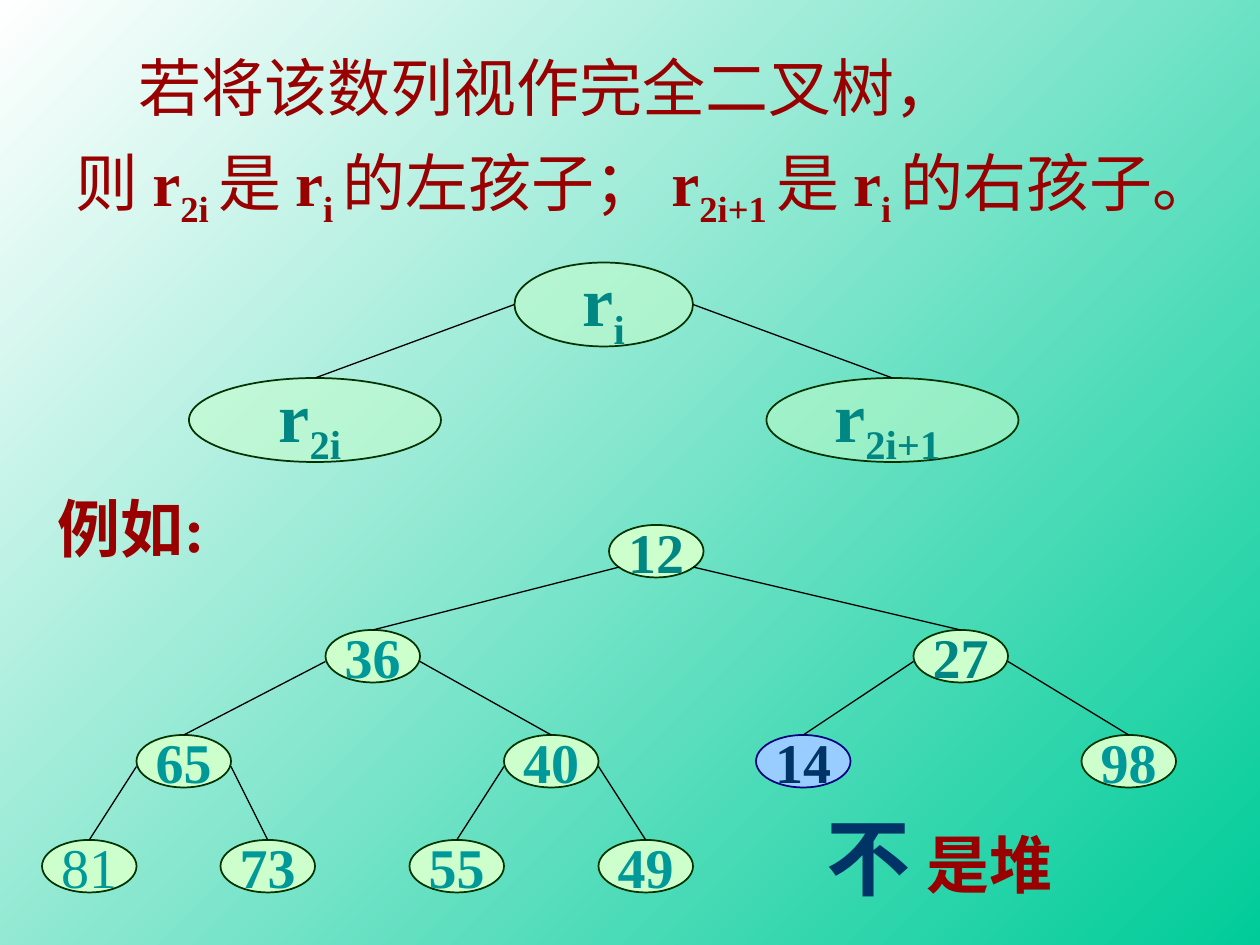
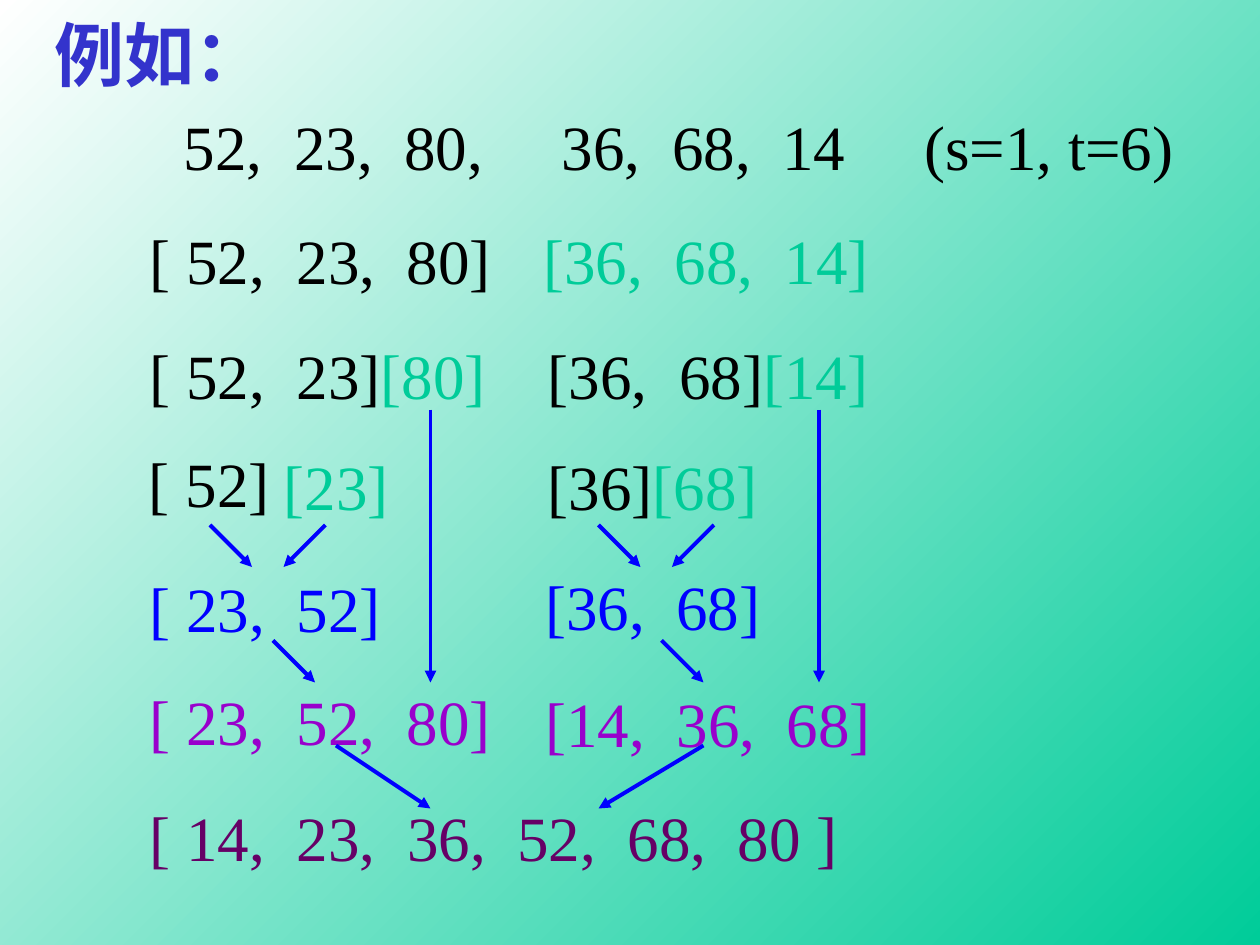
from dataclasses import dataclass
from typing import Optional

from lxml.etree import SubElement
from pptx import Presentation
from pptx.dml.color import RGBColor
from pptx.enum.shapes import MSO_CONNECTOR, MSO_SHAPE
from pptx.enum.text import MSO_ANCHOR, PP_ALIGN
from pptx.oxml.ns import qn
from pptx.util import Pt


@dataclass(frozen=True)
class Theme:
    """Colours, type sizes and line widths shared by the slides."""
    font: str = "Times New Roman"
    white: str = "FFFFFF"
    black: str = "000000"
    green: str = "00CC99"
    pale_green: str = "CCFFCC"
    dark_green: str = "003300"
    teal: str = "009999"
    deep_teal: str = "008784"
    red: str = "990000"
    pale_blue: str = "99CCFF"
    navy_line: str = "000080"
    navy: str = "003366"
    indigo: str = "3333CC"
    blue: str = "0000FF"
    violet: str = "9900CC"
    plum: str = "660066"
    small: int = 32
    body: int = 36
    large: int = 40
    huge: int = 48
    edge: float = 0.75
    arrow: float = 2.25
    number_pitch: int = 63


@dataclass(frozen=True)
class Span:
    """A piece of text with the style that sets it apart."""
    text: str
    color: Optional[str] = None
    bold: Optional[bool] = None
    subscript: bool = False


def rgb(color):
    """Turn a hex colour into an RGBColor."""
    return RGBColor.from_string(color)


def indexed(index):
    """Return the spans of the letter r with a subscript index."""
    return [Span("r", bold=True), Span(index, bold=True, subscript=True)]


class Deck:
    """Holds the theme, the presentation and the current slide."""

    def __init__(self, theme):
        """Create the presentation with its shared gradient background."""
        self.theme = theme
        self.presentation = Presentation()
        self.presentation.slide_width = Pt(720)
        self.presentation.slide_height = Pt(540)
        fill = self.presentation.slide_master.background.fill
        fill.gradient()
        fill.gradient_angle = 315
        for stop, color in zip(fill.gradient_stops, (theme.white, theme.green)):
            stop.color.rgb = rgb(color)
        self.slide = None

    def new_slide(self):
        """Start a new blank slide."""
        layout = self.presentation.slide_layouts[6]
        self.slide = self.presentation.slides.add_slide(layout)

    def stops(self, start, count=1):
        """Return tab stops one number pitch apart after a start."""
        return [start + self.theme.number_pitch * step for step in range(1, count + 1)]

    def set_paragraph(self, paragraph, spans, size, color, bold=False, stops=()):
        """Fill a paragraph with spans, tab stops and its font."""
        if stops:
            tab_list = SubElement(paragraph._p.get_or_add_pPr(), qn("a:tabLst"))
            for stop in stops:
                SubElement(tab_list, qn("a:tab"), pos=str(Pt(stop)), algn="l")
        font = paragraph.font
        font.name = self.theme.font
        font.size = Pt(size)
        font.bold = bold
        font.color.rgb = rgb(color)
        for span in spans:
            run = paragraph.add_run()
            run.text = span.text
            if span.color:
                run.font.color.rgb = rgb(span.color)
            if span.bold is not None:
                run.font.bold = span.bold
            if span.subscript:
                run._r.get_or_add_rPr().set("baseline", "-25000")

    def text(self, left, top, width, height, spans, size, color, bold=False, stops=()):
        """Add a text box with one paragraph and return its frame."""
        box = self.slide.shapes.add_textbox(Pt(left), Pt(top), Pt(width), Pt(height))
        frame = box.text_frame
        frame.word_wrap = True
        self.set_paragraph(frame.paragraphs[0], spans, size, color, bold, stops)
        return frame

    def node(self, left, top, width, height, spans, size, color,
             fill=None, line=None, bold=True, opacity=None):
        """Add an ellipse with a centred label."""
        shape = self.slide.shapes.add_shape(
            MSO_SHAPE.OVAL, Pt(left), Pt(top), Pt(width), Pt(height))
        shape.shadow.inherit = False
        shape.fill.solid()
        shape.fill.fore_color.rgb = rgb(fill or self.theme.pale_green)
        if opacity:
            solid_color = shape.element.spPr.find(qn("a:solidFill"))[0]
            SubElement(solid_color, qn("a:alpha"), val=str(opacity * 1000))
        shape.line.color.rgb = rgb(line or self.theme.dark_green)
        shape.line.width = Pt(1)
        frame = shape.text_frame
        frame.word_wrap = False
        frame.vertical_anchor = MSO_ANCHOR.MIDDLE
        frame.paragraphs[0].alignment = PP_ALIGN.CENTER
        self.set_paragraph(frame.paragraphs[0], spans, size, color, bold)
        return shape

    def line(self, start, end, color, width, arrow=False):
        """Add a straight line, with an arrowhead at its end if asked."""
        connector = self.slide.shapes.add_connector(
            MSO_CONNECTOR.STRAIGHT, *(Pt(value) for value in (*start, *end)))
        connector.line.color.rgb = rgb(color)
        connector.line.width = Pt(width)
        properties = connector.element.spPr
        if arrow:
            SubElement(properties.find(qn("a:ln")), qn("a:tailEnd"), type="triangle")
        SubElement(properties, qn("a:effectLst"))
        return connector

    def edge(self, parent, child, drop, inset=0):
        """Join the near side of a parent node to the top of a child node."""
        goes_left = child.left < parent.left
        start_x = parent.left.pt + inset if goes_left else (
            parent.left.pt + parent.width.pt - inset)
        top = (child.left.pt + child.width.pt / 2, child.top.pt)
        connector = self.line((start_x, parent.top.pt + drop), top,
                              self.theme.black, self.theme.edge)
        connector.end_connect(child, 0)


def add_index_tree(deck):
    """Draw the tree that shows how child indices follow from i."""
    theme = deck.theme
    places = (("i", 294, 150, 102), ("2i ", 108, 216, 144), ("2i+1 ", 438, 216, 144))
    parent, *children = [
        deck.node(left, top, width, 48, indexed(index), theme.large,
                  theme.deep_teal, opacity=50)
        for index, left, top, width in places]
    for child in children:
        deck.edge(parent, child, 24)


def add_number_tree(deck):
    """Draw the number sequence as a complete binary tree."""
    theme = deck.theme
    numbers = (12, 36, 27, 65, 40, 14, 98, 81, 73, 55, 49)
    lefts = (348, 186, 522, 78, 288, 432, 618, 24, 126, 234, 342)
    styles = {
        12: {"color": theme.deep_teal},
        27: {"color": theme.deep_teal},
        14: {"color": theme.navy, "fill": theme.pale_blue, "line": theme.navy_line},
        81: {"color": theme.teal, "bold": False},
    }
    nodes = {}
    for position, (number, left) in enumerate(zip(numbers, lefts), 1):
        top = 240 + 60 * position.bit_length()
        style = styles.get(number, {"color": theme.teal})
        nodes[position] = deck.node(left, top, 54, 30, [Span(str(number))],
                                    theme.small, **style)
    for position in range(2, len(numbers) + 1):
        parent = position // 2
        drop, inset = (24, 6) if parent == 1 else (18, 0)
        deck.edge(nodes[parent], nodes[position], drop, inset)


def build_tree_slide(deck):
    """Build the slide that reads a sequence as a binary tree."""
    theme = deck.theme
    deck.new_slide()
    add_index_tree(deck)
    frame = deck.text(36, 24, 660, 154, [Span("若将该数列视作完全二叉树，")],
                      theme.body, theme.red)
    frame.paragraphs[0]._p.get_or_add_pPr().set("indent", str(Pt(36)))
    rule = frame.add_paragraph()
    rule.space_before = Pt(11.2)
    spans = [Span("则 "), *indexed("2i "), Span("是 "), *indexed("i "),
             Span("的左孩子； "), *indexed("2i+1 "), Span("是 "), *indexed("i "),
             Span("的右孩子。")]
    deck.set_paragraph(rule, spans, theme.body, theme.red)
    add_number_tree(deck)
    deck.text(26, 276, 112, 50, [Span("例如:")], theme.body, theme.red, bold=True)
    deck.text(522.5, 468, 92, 50, [Span("是堆")], theme.body, theme.red, bold=True)
    deck.text(465, 457, 66, 65, [Span("不")], theme.huge, theme.navy, bold=True)


def build_merge_slide(deck):
    """Build the slide that splits and merges a sequence."""
    theme = deck.theme
    deck.new_slide()
    deck.text(24, 3, 140, 55, [Span("例如：")], theme.large, theme.indigo, bold=True)
    left, right = 78.5, 306
    rows = (
        (98, 58, 586, [63, 126, 216, 279, 342, 423], theme.black,
         [Span("52,\t23,\t80,\t36,\t68,\t14\t(s=1, t=6)")]),
        (left, 123, 432, deck.stops(21, 2) + [225] + deck.stops(237, 2), theme.black,
         [Span("[ 52,\t23,\t80]"), Span("\t[36,\t68,\t14]", theme.green)]),
        (left, 188.5, 212, deck.stops(21), theme.black,
         [Span("[ 52,\t23]"), Span("[80]", theme.green)]),
        (78, 250.5, 90, (), theme.black, [Span("[ 52]")]),
        (left, 322, 152, deck.stops(21), theme.blue, [Span("[ 23,\t52]")]),
        (left, 386.5, 216, deck.stops(21, 2), theme.violet, [Span("[ 23,\t52,\t80]")]),
        (right, 188.5, 204, deck.stops(12), theme.black,
         [Span("[36,\t68]"), Span("[14]", theme.green)]),
        (right, 252, 140, (), theme.black, [Span("[36]"), Span("[68]", theme.green)]),
        (304.5, 320.5, 144, deck.stops(12), theme.blue, [Span("[36,\t68]")]),
        (304.5, 387.5, 206, deck.stops(12, 2), theme.violet, [Span("[14,\t36,\t68]")]),
        (left, 452.5, 414, deck.stops(21, 5), theme.plum,
         [Span("[ 14,\t23,\t36,\t52,\t68,\t80 ]")]),
        (155, 252, 80, (), theme.green, [Span("[23]")]),
    )
    for x, top, width, stops, color, spans in rows:
        deck.text(x, top, width, 50, spans, theme.body, color, stops=stops)

    half_arrows = ((120, 300, 144, 324), (186, 300, 162, 324),
                   (156, 366, 180, 390), (246, 234, 246, 390))
    arrows = [(x1 + shift, y1, x2 + shift, y2)
              for shift in (0, 222) for x1, y1, x2, y2 in half_arrows]
    arrows += [(192, 426, 246, 462), (402, 426, 342, 462)]
    for x1, y1, x2, y2 in arrows:
        deck.line((x1, y1), (x2, y2), theme.blue, theme.arrow, arrow=True)


def main():
    """Build both slides and save the presentation."""
    deck = Deck(Theme())
    build_tree_slide(deck)
    build_merge_slide(deck)
    deck.presentation.save("out.pptx")


if __name__ == "__main__":
    main()
